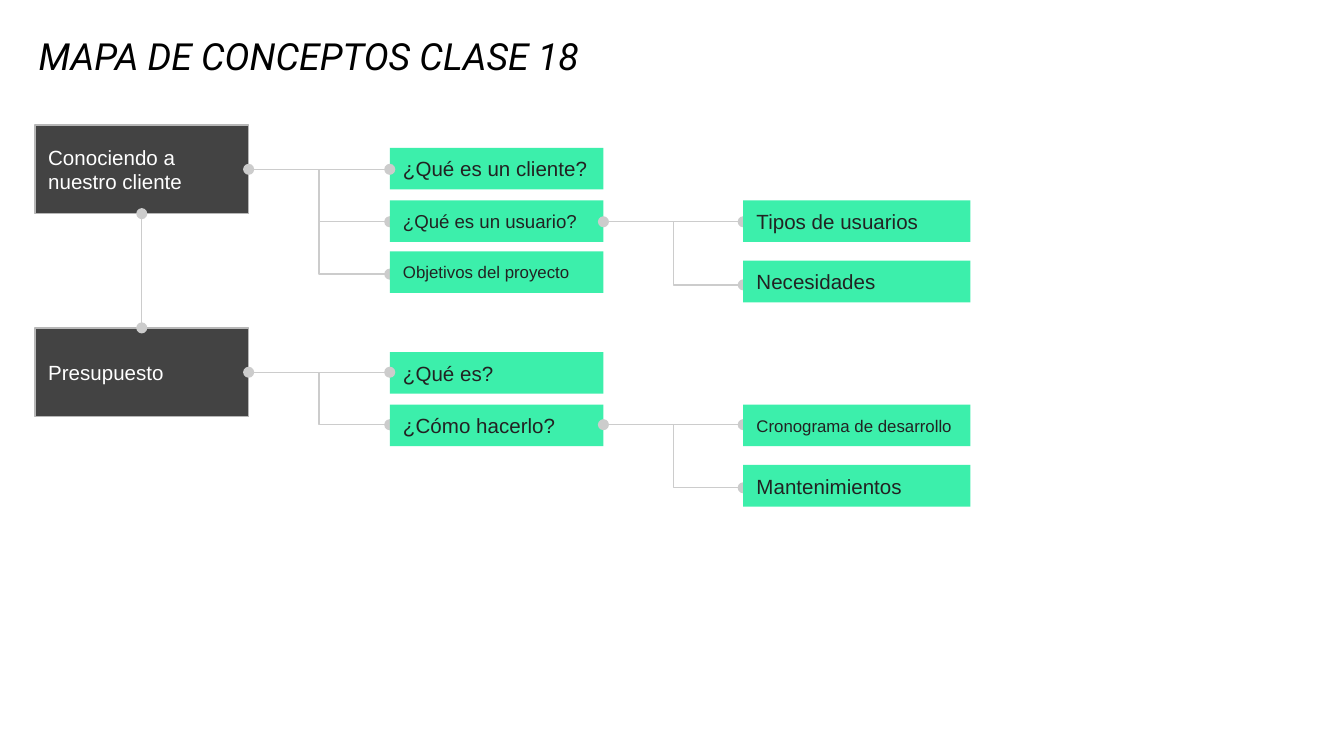
from dataclasses import dataclass

from lxml import etree
from pptx import Presentation
from pptx import util as u
from pptx.dml.color import RGBColor
from pptx.enum import shapes, text
from pptx.oxml.ns import qn

# Slide in 16:9
SLIDE_WIDTH = 10
SLIDE_HEIGHT = SLIDE_WIDTH * 9 / 16

# Grid: three columns of boxes, two branches (rows) of the map
COLUMN_LEFTS = (0.26, 2.9, 5.53)
WIDTHS = (1.59, 1.59, 1.69)
BRANCH_TOPS = (0.93, 2.44)
ROOT_HEIGHT, NODE_HEIGHT = 0.66, 0.31
TRUNK = 0.33  # link height below the top of a branch

DARK, GREEN, INK, WHITE = "434343", "3CEFAB", "222222", "FFFFFF"
EDGE, LINK, BLACK = "B7B7B7", "CCCCCC", "000000"


@dataclass(frozen=True)
class Node:
    label: str
    column: int
    branch: int
    drop: float  # distance below the top of the branch
    size: int = 11


@dataclass(frozen=True)
class Link:
    column: int  # column on the left of the link
    branch: int
    start: float
    end: float


# Parts from back to front: later boxes cover half of the link dots
LAYERS = (
    Node("Conociendo a nuestro cliente", 0, 0, 0),
    Node("Presupuesto", 0, 1, 0),
    Node("¿Qué es un cliente?", 1, 0, 0.17),
    Node("¿Qué es?", 1, 1, 0.18),
    Link(0, 0, TRUNK, TRUNK),
    Link(0, 0, TRUNK, 0.72),
    Link(0, 0, TRUNK, 1.11),
    Link(0, 1, TRUNK, TRUNK),
    Link(0, 1, TRUNK, 0.72),
    Node("¿Qué es un usuario?", 1, 0, 0.56, 10),
    Node("Objetivos del proyecto", 1, 0, 0.94, 9),
    Node("¿Cómo hacerlo?", 1, 1, 0.57),
    Link(1, 0, 0.72, 0.72),
    Link(1, 0, 0.72, 1.19),
    Link(1, 1, 0.72, 0.72),
    Link(1, 1, 0.72, 1.19),
    Node("Tipos de usuarios", 2, 0, 0.56),
    Node("Necesidades", 2, 0, 1.01),
    Node("Cronograma de desarrollo", 2, 1, 0.57, 9),
    Node("Mantenimientos", 2, 1, 1.02),
)


def rgb(value: str) -> RGBColor:
    return RGBColor.from_string(value)


def write(box, label: str, color: str, anchor, **font) -> None:
    """Put one left-aligned paragraph in a box."""
    frame = box.text_frame
    margins = {f"margin_{side}": u.Inches(0.1) for side in ("left", "right", "top", "bottom")}
    for name, value in {"word_wrap": True, "vertical_anchor": anchor, **margins}.items():
        setattr(frame, name, value)
    para = frame.paragraphs[0]
    para.alignment = text.PP_ALIGN.LEFT
    span = para.add_run()
    span.text = label
    for name, value in font.items():
        setattr(span.font, name, value)
    span.font.color.rgb = rgb(color)


def draw_node(slide, node: Node) -> None:
    root = node.column == 0
    box = slide.shapes.add_shape(
        shapes.MSO_SHAPE.RECTANGLE,
        u.Inches(COLUMN_LEFTS[node.column]),
        u.Inches(BRANCH_TOPS[node.branch] + node.drop),
        u.Inches(WIDTHS[node.column]),
        u.Inches(ROOT_HEIGHT if root else NODE_HEIGHT),
    )
    box.shadow.inherit = False
    box.fill.solid()
    box.fill.fore_color.rgb = rgb(DARK if root else GREEN)
    if root:
        box.line.color.rgb = rgb(EDGE)
        box.line.width = u.Pt(0.75)
    else:
        box.line.fill.background()
    write(box, node.label, WHITE if root else INK, text.MSO_ANCHOR.MIDDLE,
          name="Arial", size=u.Pt(node.size))


def draw_line(slide, start: tuple[float, float], end: tuple[float, float]) -> None:
    """Straight lines have a dot at both ends, bent ones only at the far end."""
    bent = start[0] != end[0] and start[1] != end[1]
    kind = shapes.MSO_CONNECTOR.ELBOW if bent else shapes.MSO_CONNECTOR.STRAIGHT
    line = slide.shapes.add_connector(kind, *(u.Inches(value) for value in (*start, *end)))
    line.line.color.rgb = rgb(LINK)
    line.line.width = u.Pt(0.75)
    outline = line.line._get_or_add_ln()
    for tag in ("a:tailEnd",) if bent else ("a:headEnd", "a:tailEnd"):
        etree.SubElement(outline, qn(tag), type="oval", w="med", len="med")
    etree.SubElement(line._element.spPr, qn("a:effectLst"))


def draw_link(slide, link: Link) -> None:
    top = BRANCH_TOPS[link.branch]
    draw_line(slide,
              (COLUMN_LEFTS[link.column] + WIDTHS[link.column], top + link.start),
              (COLUMN_LEFTS[link.column + 1], top + link.end))


def main() -> None:
    deck = Presentation()
    deck.slide_width, deck.slide_height = u.Inches(SLIDE_WIDTH), u.Inches(SLIDE_HEIGHT)
    slide = deck.slides.add_slide(deck.slide_layouts[6])

    # Title
    title = slide.shapes.add_textbox(*(u.Inches(value) for value in (0.19, 0.22, 8.26, 0.46)))
    write(title, "MAPA DE CONCEPTOS CLASE 18", BLACK, text.MSO_ANCHOR.BOTTOM,
          name="Roboto", size=u.Pt(20), italic=True)

    # Concept map
    for part in LAYERS:
        if isinstance(part, Node):
            draw_node(slide, part)
        else:
            draw_link(slide, part)

    # Link between the two topics
    middle = COLUMN_LEFTS[0] + WIDTHS[0] / 2
    draw_line(slide, (middle, BRANCH_TOPS[0] + ROOT_HEIGHT), (middle, BRANCH_TOPS[1]))

    deck.save("out.pptx")


if __name__ == "__main__":
    main()
